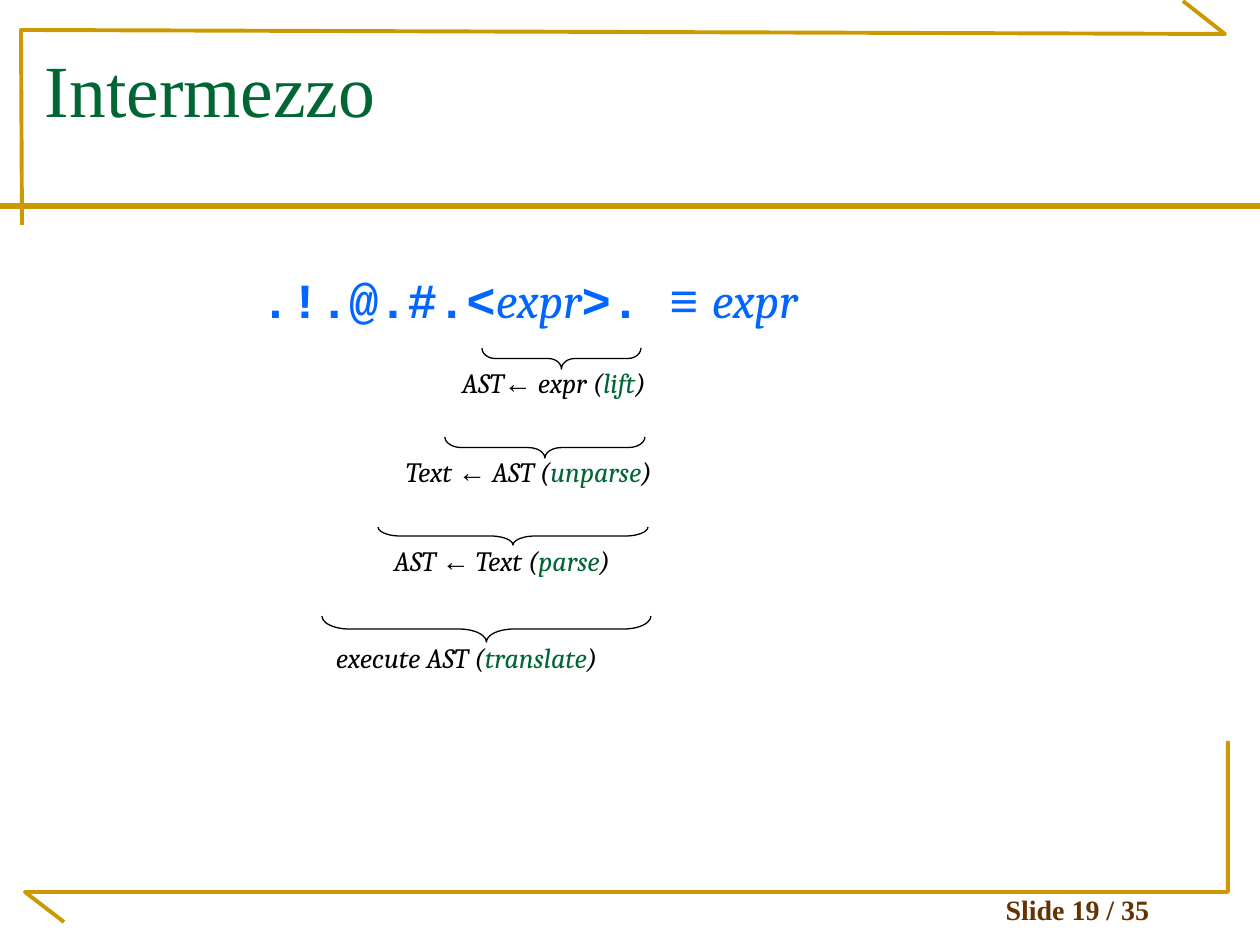
from lxml.etree import SubElement
from pptx import Presentation
from pptx.dml.color import RGBColor
from pptx.enum.shapes import MSO_CONNECTOR as Connector, MSO_SHAPE as Shape
from pptx.enum.text import MSO_ANCHOR as Anchor, PP_ALIGN as Align
from pptx.oxml.ns import qn
from pptx.util import Pt

PX = 914400 // 126
GOLD = RGBColor(0xCC, 0x99, 0x00)
BROWN = RGBColor(0x66, 0x33, 0x00)
GREEN = RGBColor(0x00, 0x66, 0x33)
BLUE = RGBColor(0x00, 0x66, 0xFF)
BLACK = RGBColor(0, 0, 0)

SERIF = {"font": "Times New Roman"}
MATH = {"font": "Cambria", "italic": True}
CODE = {"font": "Courier New", "bold": True}
SYMBOL = {"font": "Arial"}
ARROW = {"font": "Arial", "italic": True}
KEYWORD = {**MATH, "color": GREEN}


def add_text(shapes, runs, box, size, color, margins=(13, 6),
             align=Align.LEFT, anchor=Anchor.TOP):
    """Add a one-line text box; runs are (text, format) pairs."""
    shape = shapes.add_textbox(*(value * PX for value in box))
    frame = shape.text_frame
    frame.word_wrap = True
    frame.vertical_anchor = anchor
    frame.margin_left = frame.margin_right = margins[0] * PX
    frame.margin_top = frame.margin_bottom = margins[1] * PX
    paragraph = frame.paragraphs[0]
    paragraph.alignment = align
    for text, style in runs:
        run = paragraph.add_run()
        run.text = text
        run.font.name = style["font"]
        run.font.size = Pt(size)
        run.font.bold = style.get("bold", False)
        run.font.italic = style.get("italic", False)
        run.font.color.rgb = style.get("color", color)


presentation = Presentation()
presentation.slide_width = 1260 * PX
presentation.slide_height = 945 * PX
slide = presentation.slides.add_slide(presentation.slide_layouts[6])

# Frame: two open corner outlines and the rule under the title
for start, *points in (
    [(22, 225), (21, 30), (1225, 34), (1183, 1)],
    [(64, 922), (25, 892), (1228, 892), (1228, 741)],
):
    builder = slide.shapes.build_freeform(*start, scale=PX)
    builder.add_line_segments(points, close=False)
    corner = builder.convert_to_shape()
    corner.shadow.inherit = False
    corner.fill.background()
    corner.line.color.rgb = GOLD
    corner.line.width = Pt(2.25)

rule = slide.shapes.add_connector(Connector.STRAIGHT, 0, 206 * PX, 1260 * PX, 206 * PX)
rule.line.color.rgb = GOLD
rule.line.width = Pt(3)
SubElement(rule._element.spPr, qn("a:effectLst"))

# Slide number, title and formula
add_text(slide.shapes, [("Slide 19 / 35", {**SERIF, "bold": True})],
         (929, 891, 297, 41), 16, BROWN, align=Align.CENTER, anchor=Anchor.BOTTOM)
add_text(slide.shapes, [("Intermezzo", SERIF)], (32, 38, 1187, 158), 42, GREEN)
add_text(slide.shapes,
         [(".!.@.#.<", CODE), ("expr", MATH), (">. ", CODE), ("≡ ", SYMBOL), ("expr", MATH)],
         (248, 263, 588, 72), 28, BLUE)

# Steps: brace (left, top, length, depth), label (left, top, width), label runs
steps = [
    ((482, 348, 159, 21), (462, 366, 203),
     [("AST", MATH), ("←", ARROW), (" expr (", MATH), ("lift", KEYWORD)]),
    ((445, 437, 200, 21), (406, 455, 278),
     [("Text ", MATH), ("←", ARROW), (" AST (", MATH), ("unparse", KEYWORD)]),
    ((378, 527, 270, 18), (394, 544, 244),
     [("AST ", MATH), ("←", ARROW), (" Text (", MATH), ("parse", KEYWORD)]),
    ((322, 616, 329, 26), (336, 641, 301),
     [("execute AST (", MATH), ("translate", KEYWORD)]),
]
for (left, top, length, depth), label, runs in steps:
    step = slide.shapes.add_group_shape()
    # A left brace turned to point down swaps length and depth about its centre
    shift = (length - depth) * PX // 2
    brace = step.shapes.add_shape(Shape.LEFT_BRACE, left * PX + shift, top * PX - shift,
                                  depth * PX, length * PX)
    brace.rotation = 270
    brace.adjustments[0] = length / 12 / depth
    brace.shadow.inherit = False
    brace.fill.background()
    brace.line.color.rgb = BLACK
    brace.line.width = Pt(0.75)
    add_text(step.shapes, runs + [(")", MATH)], (*label, 34), 16, BLACK, margins=(0, 0))

presentation.save("out.pptx")
